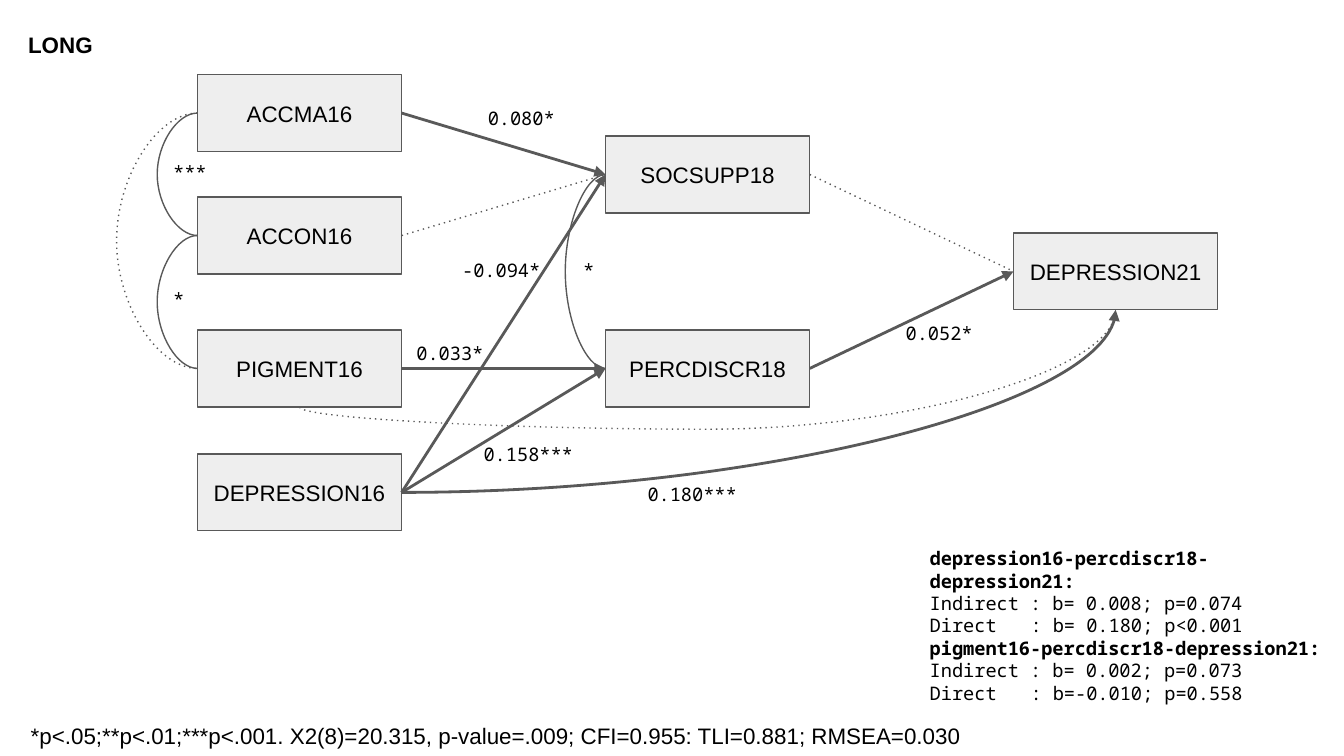
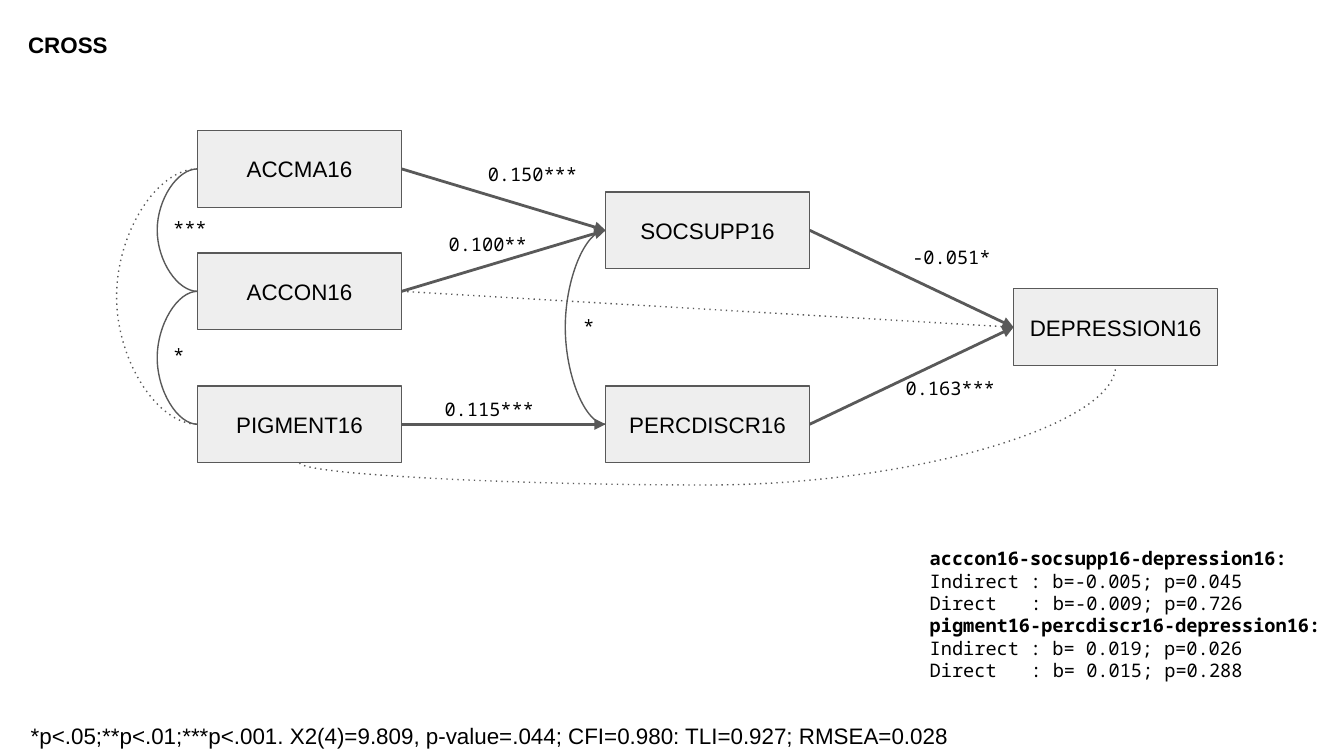
from lxml import etree
from pptx import Presentation
from pptx.dml.color import RGBColor
from pptx.enum import shapes, text
from pptx.oxml import ns
from pptx.util import Pt

COLORS = {"box": "EEEEEE", "line": "595959", "text": "000000"}
SANS, MONO = "Arial", "Noto Sans Mono"
BOX_WIDTH, BOX_HEIGHT = 109.4, 41.2
LEFT, STEP = 105.8, 218.6
HAIRLINE = 0.05


def write(shape, lines, font=MONO, size=10, bold_lines=(), align=None,
          anchor=text.MSO_ANCHOR.TOP, grow=True, tab=None):
    frame = shape.text_frame
    frame.word_wrap = True
    frame.vertical_anchor = anchor
    frame.margin_left = frame.margin_right = Pt(7.2)
    frame.margin_top = frame.margin_bottom = Pt(7.2)
    if grow:
        frame.auto_size = text.MSO_AUTO_SIZE.SHAPE_TO_FIT_TEXT
    for index, line in enumerate(lines):
        paragraph = frame.paragraphs[0] if index == 0 else frame.add_paragraph()
        paragraph.alignment = align
        if tab and "\t" in line:
            properties = paragraph._p.get_or_add_pPr()
            stops = etree.SubElement(properties, ns.qn("a:tabLst"))
            etree.SubElement(stops, ns.qn("a:tab"), pos=str(Pt(tab)), algn="l")
        run = paragraph.add_run()
        run.text = line
        run.font.name = font
        run.font.size = Pt(size)
        run.font.bold = index in bold_lines
        run.font.color.rgb = RGBColor.from_string(COLORS["text"])


def draw_line(parent, start, end, strong=False, dotted=False, preset="line",
              rotation=0, flip=False, adjust=None):
    kind = shapes.MSO_CONNECTOR.STRAIGHT if preset == "line" else shapes.MSO_CONNECTOR.CURVE
    connector = parent.add_connector(kind, *[Pt(value) for value in (*start, *end)])
    connector.line.color.rgb = RGBColor.from_string(COLORS["line"])
    connector.line.width = Pt(1.5 if strong else 0.75)
    properties = connector._element.spPr
    outline = properties.find(ns.qn("a:ln"))
    if dotted:
        etree.SubElement(outline, ns.qn("a:prstDash"), val="dot")
    if strong:
        etree.SubElement(outline, ns.qn("a:tailEnd"), type="triangle")
    etree.SubElement(properties, ns.qn("a:effectLst"))
    geometry = properties.find(ns.qn("a:prstGeom"))
    geometry.set("prst", preset)
    if adjust is not None:
        guides = geometry.find(ns.qn("a:avLst"))
        etree.SubElement(guides, ns.qn("a:gd"), name="adj1", fmla=f"val {round(adjust * 100000)}")
    if rotation:
        connector.rotation = rotation
    if flip:
        properties.find(ns.qn("a:xfrm")).set("flipH", "1")


POSITIONS = {
    "percdiscr": (1, 176.8),
    "outcome": (2, 124.8),
    "accma": (0, 40),
    "accon": (0, 105.6),
    "pigment": (0, 176.8),
    "socsupp": (1, 72.9),
    "baseline": (0, 243.2),
}
BRACKETS = [
    ("accma", "accon", 19, False),
    ("accma", "pigment", 38.2, True),
    ("accon", "pigment", 19, False),
    ("socsupp", "percdiscr", 19, False),
]
SHARED_LABELS = [("***", 85.7, 80), ("*", 85.7, 148.4), ("*", 305.3, 132.5)]

MODELS = [
    {
        "title": "LONG",
        "offset": 0,
        "boxes": {"percdiscr": "PERCDISCR18", "outcome": "DEPRESSION21", "accma": "ACCMA16",
                  "accon": "ACCON16", "pigment": "PIGMENT16", "socsupp": "SOCSUPP18",
                  "baseline": "DEPRESSION16"},
        "paths": [("accma", "socsupp", True), ("accon", "socsupp", False),
                  ("socsupp", "outcome", False), ("percdiscr", "outcome", True),
                  ("pigment", "percdiscr", True), ("baseline", "percdiscr", True),
                  ("baseline", "socsupp", True)],
        "labels": [("0.080*", 254.2, 51.2), ("-0.094*", 240.5, 132.5), ("0.180***", 339.8, 252.8),
                   ("0.052*", 478.1, 166.2), ("0.033*", 216, 177), ("0.158***", 252, 231)],
        "effects": ["depression16-percdiscr18-depression21:",
                    "Indirect : b= 0.008; p=0.074", "Direct\t: b= 0.180; p<0.001",
                    "pigment16-percdiscr18-depression21:",
                    "Indirect : b= 0.002; p=0.073", "Direct\t: b=-0.010; p=0.558"],
        "fit": "X2(8)=20.315, p-value=.009; CFI=0.955: TLI=0.881; RMSEA=0.030",
    },
    {
        "title": "CROSS",
        "offset": 29.9,
        "boxes": {"percdiscr": "PERCDISCR16", "outcome": "DEPRESSION16", "accma": "ACCMA16",
                  "accon": "ACCON16", "pigment": "PIGMENT16", "socsupp": "SOCSUPP16"},
        "paths": [("accma", "socsupp", True), ("accon", "socsupp", True),
                  ("socsupp", "outcome", True), ("percdiscr", "outcome", True),
                  ("pigment", "percdiscr", True), ("accon", "outcome", False)],
        "labels": [("0.150***", 254.2, 51.2), ("0.100**", 233.3, 89), ("0.163***", 478.1, 166.2),
                   ("0.115***", 231.1, 177), ("-0.051*", 481.7, 96)],
        "effects": ["acccon16-socsupp16-depression16:",
                    "Indirect : b=-0.005; p=0.045", "Direct\t: b=-0.009; p=0.726",
                    "pigment16-percdiscr16-depression16:",
                    "Indirect : b= 0.019; p=0.026", "Direct\t: b= 0.015; p=0.288"],
        "fit": "X2(4)=9.809, p-value=.044; CFI=0.980: TLI=0.927; RMSEA=0.028",
    },
]

presentation = Presentation()
presentation.slide_width = Pt(720)
presentation.slide_height = Pt(405)

for model in MODELS:
    slide = presentation.slides.add_slide(presentation.slide_layouts[6])

    effects = slide.shapes.add_textbox(Pt(491), Pt(285.8), Pt(229), Pt(87.1))
    write(effects, model["effects"], bold_lines=(0, 3), tab=54)
    title = slide.shapes.add_textbox(Pt(8), Pt(9.4), Pt(219), Pt(28.8))
    write(title, [model["title"]], font=SANS, size=12, bold_lines=(0,))
    footer = slide.shapes.add_textbox(Pt(9.4), Pt(379.5), Pt(700.6), Pt(28.8))
    write(footer, ["*p<.05;**p<.01;***p<.001. " + model["fit"]], font=SANS, size=12)

    diagram = slide.shapes.add_group_shape().shapes
    corners = {name: (LEFT + column * STEP, top + model["offset"])
               for name, (column, top) in POSITIONS.items()}
    left_mid = {name: (x, y + BOX_HEIGHT / 2) for name, (x, y) in corners.items()}
    right_mid = {name: (x + BOX_WIDTH, y) for name, (x, y) in left_mid.items()}
    bottom_mid = {name: (x + BOX_WIDTH / 2, y + BOX_HEIGHT) for name, (x, y) in corners.items()}

    for name, caption in model["boxes"].items():
        x, y = corners[name]
        box = diagram.add_shape(shapes.MSO_SHAPE.RECTANGLE, Pt(x), Pt(y),
                                Pt(BOX_WIDTH), Pt(BOX_HEIGHT))
        box.shadow.inherit = False
        box.fill.solid()
        box.fill.fore_color.rgb = RGBColor.from_string(COLORS["box"])
        box.line.color.rgb = RGBColor.from_string(COLORS["line"])
        box.line.width = Pt(0.75)
        write(box, [caption], font=SANS, size=12, align=text.PP_ALIGN.CENTER,
              anchor=text.MSO_ANCHOR.MIDDLE, grow=False)

    for source, target, strong in model["paths"]:
        draw_line(diagram, right_mid[source], left_mid[target], strong, not strong)

    for upper, lower, depth, dotted in BRACKETS:
        x, y = left_mid[lower]
        draw_line(diagram, left_mid[upper], (x + HAIRLINE, y), dotted=dotted,
                  preset="curvedConnector3", adjust=-depth / HAIRLINE)

    start_x, start_y = bottom_mid["pigment"]
    end_x, end_y = bottom_mid["outcome"]
    center_x, center_y = (start_x + end_x) / 2, (start_y + end_y) / 2
    half_rise, half_run = (start_y - end_y) / 2, (end_x - start_x) / 2
    draw_line(diagram, (center_x - half_rise, center_y - half_run),
              (center_x + half_rise, center_y + half_run), dotted=True,
              preset="curvedConnector3", rotation=270, adjust=-0.23)

    if "baseline" in model["boxes"]:
        start_x, start_y = right_mid["baseline"]
        draw_line(diagram, (start_x, end_y), (end_x, start_y), strong=True,
                  preset="curvedConnector2", rotation=180, flip=True)

    for caption, x, y in SHARED_LABELS + model["labels"]:
        label = diagram.add_textbox(Pt(x), Pt(y + model["offset"]), Pt(77.8), Pt(26.6))
        write(label, [caption])

presentation.save("out.pptx")
